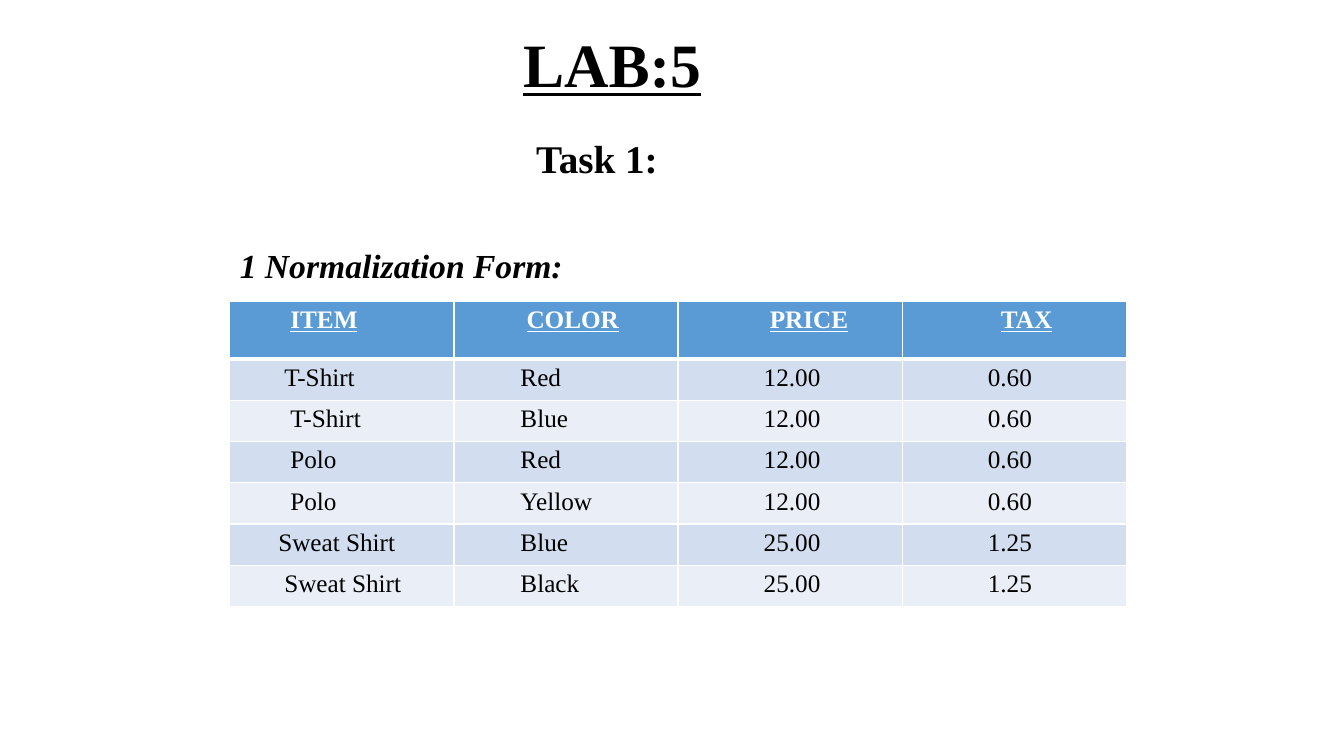
from pptx import Presentation
from pptx.dml.color import RGBColor as Rgb
from pptx.enum.text import MSO_AUTO_SIZE as Fit
from pptx.oxml import parse_xml
from pptx.oxml.ns import nsdecls
from pptx.util import Pt

PX = 9144  # 100 px to the inch
FONT = "Times New Roman"
WHITE, BLACK, BLUE = "FFFFFF", "000000", "5B9BD5"
BANDS = ["D2DEEF", "EAEFF7"]

HEADS = ["ITEM", "COLOR", "PRICE", "TAX"]
ROWS = [
    ["T-Shirt", "Red", "12.00", "0.60"],
    ["T-Shirt", "Blue", "12.00", "0.60"],
    ["Polo", "Red", "12.00", "0.60"],
    ["Polo", "Yellow", "12.00", "0.60"],
    ["Sweat Shirt", "Blue", "25.00", "1.25"],
    ["Sweat Shirt", "Black", "25.00", "1.25"],
]
# Left insets in px: header cells, item cells by row, other columns
HEAD_PADS = [60, 72, 91, 98]
ITEM_PADS = [54, 60, 60, 60, 48, 54]
DATA_PADS = [66, 85, 85]


def px(n):
    return int(n * PX)


def color(code):
    return Rgb.from_string(code)


def write(para, text, shade=BLACK, **style):
    run = para.add_run()
    run.text = text
    run.font.color.rgb = color(shade)
    for key, value in {"name": FONT, **style}.items():
        setattr(run.font, key, value)


def label(slide, box, text, wrap=True, **style):
    frame = slide.shapes.add_textbox(*map(px, box)).text_frame
    frame.word_wrap = wrap
    frame.auto_size = Fit.SHAPE_TO_FIT_TEXT
    write(frame.paragraphs[0], text, bold=True, **style)


def edge(cell, top, bottom):
    # Border lines come before the fill, in this order
    widths = {"lnL": 1, "lnR": 1, "lnT": top, "lnB": bottom}
    props = cell._tc.get_or_add_tcPr()
    for i, (tag, width) in enumerate(widths.items()):
        props.insert(i, parse_xml(
            f'<a:{tag} {nsdecls("a")} w="{Pt(width)}"><a:solidFill>'
            f'<a:srgbClr val="{WHITE}"/></a:solidFill></a:{tag}>'))


def paint(cell, text, pad, fill, top=1, bottom=1, **style):
    cell.margin_left = px(pad)
    cell.fill.solid()
    cell.fill.fore_color.rgb = color(fill)
    edge(cell, top, bottom)
    write(cell.text_frame.paragraphs[0], text, size=Pt(18), **style)


def grid(slide, box, head=57):
    left, top, width, height = box
    table = slide.shapes.add_table(
        len(ROWS) + 1, len(HEADS), *map(px, box)).table
    for col in table.columns:
        col.width = px(width / len(HEADS))
    for row in table.rows:
        row.height = px((height - head) / len(ROWS))
    table.rows[0].height = px(head)

    # Header row
    for c, (text, pad) in enumerate(zip(HEADS, HEAD_PADS)):
        paint(table.cell(0, c), text, pad, BLUE, bottom=3,
              shade=WHITE, bold=True, underline=True)

    # Banded rows
    for r, (row, first) in enumerate(zip(ROWS, ITEM_PADS)):
        for c, (text, pad) in enumerate(zip(row, [first] + DATA_PADS)):
            paint(table.cell(r + 1, c), text, pad, BANDS[r % 2],
                  top=1 if r else 3, bold=False)


def main():
    deck = Presentation()
    deck.slide_width, deck.slide_height = px(1333), px(750)
    slide = deck.slides.add_slide(deck.slide_layouts[6])
    grid(slide, (228, 299, 889, 303))
    # Titles
    label(slide, (509, 21, 206, 84), "LAB:5", size=Pt(44), underline=True)
    label(slide, (228, 238, 344, 50), "1 Normalization Form:", wrap=False,
          size=Pt(24), italic=True)
    label(slide, (522, 128, 142, 57), "Task 1:", size=Pt(28))
    deck.save("out.pptx")


if __name__ == "__main__":
    main()
